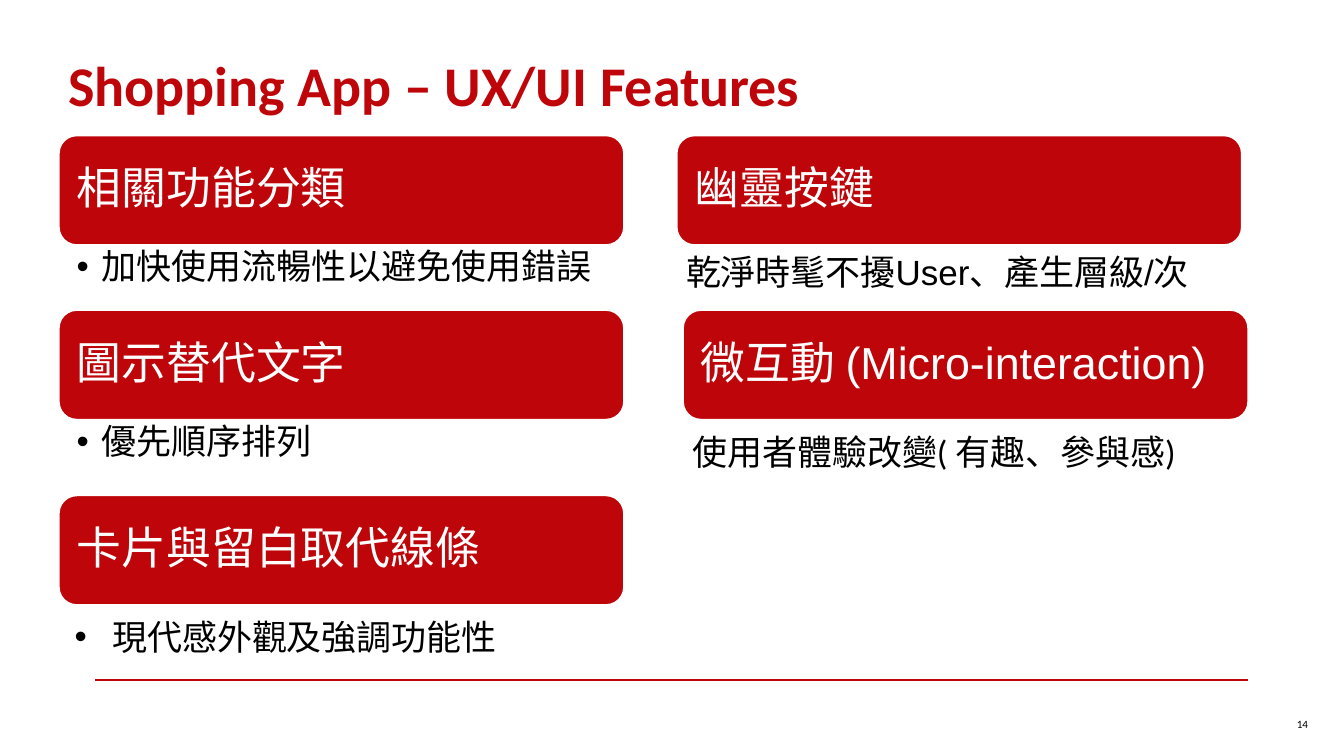
from dataclasses import dataclass

from lxml import etree
from pptx import Presentation
from pptx.dml.color import RGBColor
from pptx.enum.shapes import MSO_CONNECTOR, MSO_SHAPE
from pptx.enum.text import MSO_ANCHOR, MSO_AUTO_SIZE, PP_ALIGN
from pptx.oxml.ns import qn
from pptx.util import Cm, Pt

ROUNDED = MSO_SHAPE.ROUNDED_RECTANGLE
STRAIGHT = MSO_CONNECTOR.STRAIGHT
MIDDLE, TOP = MSO_ANCHOR.MIDDLE, MSO_ANCHOR.TOP
LEFT, RIGHT = PP_ALIGN.LEFT, PP_ALIGN.RIGHT
NO_AUTOFIT = MSO_AUTO_SIZE.NONE

TITLE = "Shopping App – UX/UI Features"
PAGE_NUMBER = "14"

TIGHT = dict(font="Arial", hanging=0.64, insets=(0.46, 0.1, 0.64, 0.1), spacing=0.9)
# card left, card top, heading, note, note indent, note gap, note width, note format
FEATURES = [
    (1.47, 3.4, "相關功能分類", "加快使用流暢性以避免使用錯誤", 0, 0, 14.27, TIGHT),
    (1.47, 7.8, "圖示替代文字", "優先順序排列", 0, 0, 14.27, TIGHT),
    (1.47, 12.47, "卡片與留白取代線條", "現代感外觀及強調功能性", 0.16, 0.13, 14,
     dict(font="Calibri", hanging=0.95)),
    (17.04, 3.4, "幽靈按鍵", "乾淨時髦不擾User、產生層級/次", 0, 0, 14.27,
     dict(font="Arial")),
    (17.2, 7.8, "微互動 (Micro-interaction)", "使用者體驗改變( 有趣、參與感)", 0, 0.13, 14.94,
     dict(font="Calibri")),
]
CARD_WIDTH, CARD_HEIGHT = 14.27, 2.79
NOTE_HEIGHT = 1.4


@dataclass(frozen=True)
class Theme:
    red: RGBColor = RGBColor(0xBE, 0x05, 0x0A)
    white: RGBColor = RGBColor(0xFF, 0xFF, 0xFF)
    black: RGBColor = RGBColor(0, 0, 0)
    title_size: int = 40
    heading_size: int = 32
    note_size: int = 25
    page_size: int = 8


THEME = Theme()


def box(left, top, width, height):
    return Cm(left), Cm(top), Cm(width), Cm(height)


def write(frame, text, *, font, size, color, bold=False, align=LEFT, anchor=TOP,
          insets=(0.25, 0.13, 0.25, 0.13), spacing=None, hanging=0, wrap=True):
    """Fill a text frame; a hanging indent in cm also turns on a bullet."""
    frame.auto_size = NO_AUTOFIT
    frame.word_wrap = wrap
    frame.vertical_anchor = anchor
    (frame.margin_left, frame.margin_top,
     frame.margin_right, frame.margin_bottom) = map(Cm, insets)
    paragraph = frame.paragraphs[0]
    paragraph.alignment = align
    if spacing:
        paragraph.line_spacing = spacing
    if hanging:
        properties = paragraph._p.get_or_add_pPr()
        properties.set("marL", str(Cm(hanging)))
        properties.set("indent", str(-Cm(hanging)))
        etree.SubElement(properties, qn("a:buFont")).set("typeface", "Arial")
        etree.SubElement(properties, qn("a:buChar")).set("char", "•")
    run = paragraph.add_run()
    run.text = text
    run.font.name = font
    run.font.size = Pt(size)
    run.font.bold = bold
    run.font.color.rgb = color


def add_card(slide, left, top, heading):
    card = slide.shapes.add_shape(ROUNDED, *box(left, top, CARD_WIDTH, CARD_HEIGHT))
    card.shadow.inherit = False
    card.fill.solid()
    card.fill.fore_color.rgb = THEME.red
    card.line.color.rgb = THEME.white
    card.line.width = Pt(2)
    write(card.text_frame, heading, font="Arial", size=THEME.heading_size,
          color=THEME.white, anchor=MIDDLE, insets=(0.33,) * 4, spacing=0.9)


def add_footer(slide):
    rule = slide.shapes.add_connector(STRAIGHT, Cm(2.39), Cm(17.14), Cm(31.45), Cm(17.14))
    rule.line.color.rgb = THEME.red
    rule.line.width = Pt(1.5)
    etree.SubElement(rule._element.spPr, qn("a:effectLst"))
    page = slide.shapes.add_textbox(*box(29.26, 17.7, 3.96, 1.07))
    write(page.text_frame, PAGE_NUMBER, font="Calibri", size=THEME.page_size,
          color=THEME.black, align=RIGHT, anchor=MIDDLE, wrap=True)


def main():
    deck = Presentation()
    deck.slide_width, deck.slide_height = Cm(33.87), Cm(19.05)
    slide = deck.slides.add_slide(deck.slide_layouts[5])

    add_footer(slide)
    title = slide.shapes.title
    title.left, title.top, title.width, title.height = box(1.47, 1.32, 28.5, 1.6)
    write(title.text_frame, TITLE, font="Calibri", size=THEME.title_size,
          color=THEME.red, bold=True, anchor=MIDDLE)

    for left, top, heading, note, indent, gap, width, note_format in FEATURES:
        add_card(slide, left, top, heading)
        note_top = top + CARD_HEIGHT + gap
        note_box = slide.shapes.add_textbox(*box(left + indent, note_top, width, NOTE_HEIGHT))
        write(note_box.text_frame, note, size=THEME.note_size, color=THEME.black,
              **note_format)

    deck.save("out.pptx")


if __name__ == "__main__":
    main()
